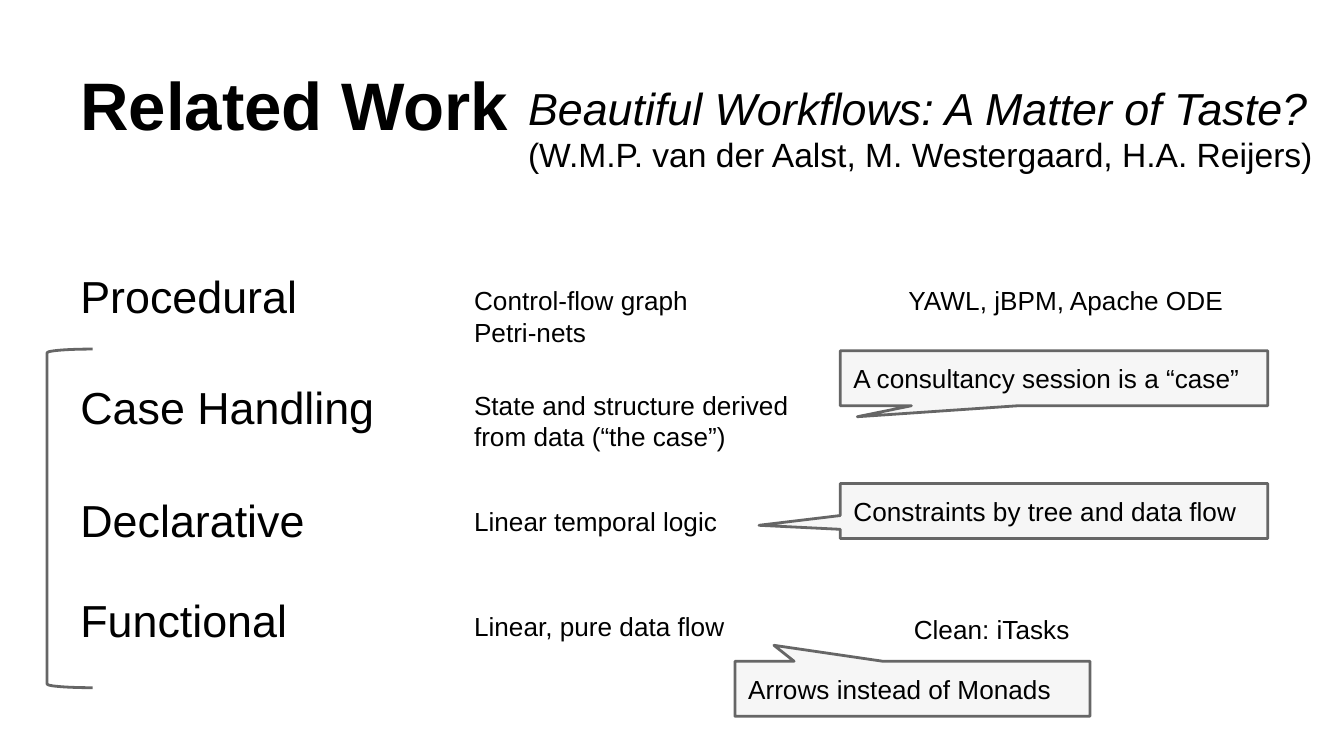
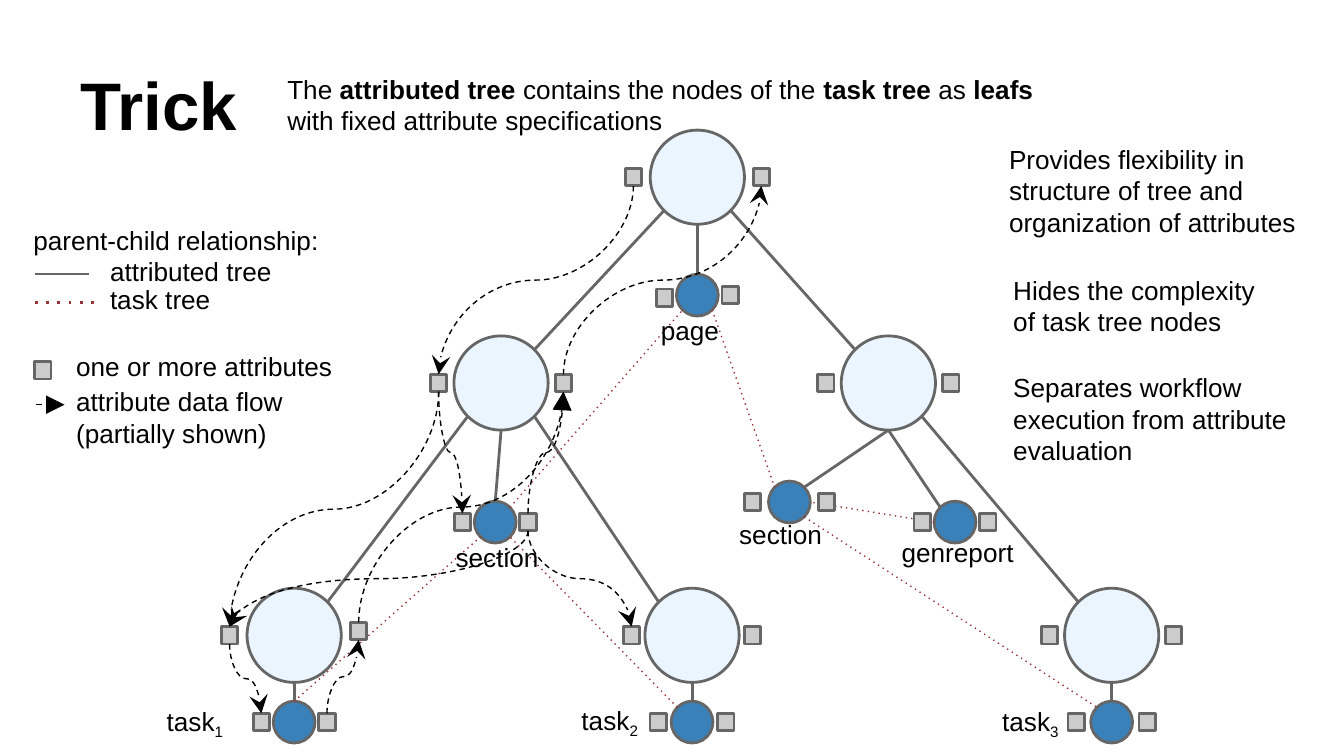
import copy
import math

import pptx
import pptx.dml.color
import pptx.enum.shapes
import pptx.enum.text
import pptx.oxml.ns
import pptx.util
from lxml import etree

Cm = pptx.util.Cm
Pt = pptx.util.Pt
qn = pptx.oxml.ns.qn
KIND = pptx.enum.shapes.MSO_SHAPE
LINK = pptx.enum.shapes.MSO_CONNECTOR
ANCHOR = pptx.enum.text.MSO_ANCHOR

HUES = {"ink": "000000", "edge": "666666", "note": "F6F6F6", "tree": "EAF5FF",
        "task": "3A81BA", "attr": "CCCCCC", "link": "963334"}
BOLD = {"bold": True}
BIG, SMALL = 1.78, 0.79
ATTR_W, ATTR_H = 0.31, 0.33


def hue(name):
    return pptx.dml.color.RGBColor.from_string(HUES[name])


class Deck:
    """Holds the style and the current slide."""

    def __init__(self):
        self.file = pptx.Presentation()
        self.file.slide_width, self.file.slide_height = Cm(25.4), Cm(14.29)
        self.font = {"name": "Arial", "size": Pt(14)}
        self.frame = {"word_wrap": True, "margin_left": Cm(0.25), "margin_right": Cm(0.25),
                      "margin_top": Cm(0.25), "margin_bottom": Cm(0.25)}

    def page(self, title, width):
        self.slide = self.file.slides.add_slide(self.file.slide_layouts[6])
        self.text(title, 1.27, 0.58, width, 2.39, ANCHOR.BOTTOM, size=Pt(36), bold=True)

    def label(self, shape, text, anchor, style):
        """text is a string, or a list of (string, style) runs; a line feed breaks the line."""
        frame = shape.text_frame
        for key, value in {**self.frame, "vertical_anchor": anchor}.items():
            setattr(frame, key, value)
        para = frame.paragraphs[0]
        para.alignment = pptx.enum.text.PP_ALIGN.LEFT
        for words, extra in [(text, {})] if isinstance(text, str) else text:
            for num, part in enumerate(words.split("\n")):
                if num:
                    para.add_line_break()
                    para._p[-1].append(copy.deepcopy(run.font._element))
                if not part:
                    continue
                run = para.add_run()
                run.text = part
                run.font.color.rgb = hue("ink")
                for key, value in {**self.font, **style, **extra}.items():
                    if key == "base":
                        run.font._element.set("baseline", value)
                    else:
                        setattr(run.font, key, value)

    def text(self, text, x, y, w, h, anchor=ANCHOR.TOP, **style):
        box = self.slide.shapes.add_textbox(Cm(x), Cm(y), Cm(w), Cm(h))
        self.label(box, text, anchor, style)

    def shape(self, kind, x, y, w, h, fill=None, adjust=()):
        item = self.slide.shapes.add_shape(kind, Cm(x), Cm(y), Cm(w), Cm(h))
        item.shadow.inherit = False
        if fill:
            item.fill.solid()
            item.fill.fore_color.rgb = hue(fill)
        else:
            item.fill.background()
        item.line.color.rgb, item.line.width = hue("edge"), Pt(1.5)
        for num, value in enumerate(adjust):
            item.adjustments[num] = value
        return item

    def call(self, text, x, y, w, tip):
        item = self.shape(KIND.RECTANGULAR_CALLOUT, x, y, w, 1.04, "note", tip)
        self.label(item, text, ANCHOR.MIDDLE, {})

    def dot(self, x, y, size, fill):
        self.shape(KIND.OVAL, x - size / 2, y - size / 2, size, size, fill)

    def attr(self, x, y):
        self.shape(KIND.RECTANGLE, x - ATTR_W / 2, y - ATTR_H / 2, ATTR_W, ATTR_H, "attr")

    def line(self, start, end, color="edge", width=1.5, dash=None, head=None,
             kind=LINK.STRAIGHT):
        item = self.slide.shapes.add_connector(kind, *map(Cm, (*start, *end)))
        item.line.color.rgb, item.line.width = hue(color), Pt(width)
        props = item._element.spPr
        stroke = props.find(qn("a:ln"))
        if dash:
            etree.SubElement(stroke, qn("a:prstDash")).set("val", dash)
        if head:
            tail = etree.SubElement(stroke, qn("a:tailEnd"))
            for key, value in {"type": head, "w": "lg", "len": "lg"}.items():
                tail.set(key, value)
        etree.SubElement(props, qn("a:effectLst"))
        return item

    def flow(self, start, end, head="stealth"):
        """Curve that leaves and arrives upright: a level curve, turned."""
        (x1, y1), (x2, y2) = start, end
        mid_x, mid_y = (x1 + x2) / 2, (y1 + y2) / 2
        half_w, half_h = abs(y2 - y1) / 2, abs(x2 - x1) / 2
        if x2 > x1 and y2 > y1:
            half_w = -half_w
        item = self.line((mid_x - half_w, mid_y - half_h), (mid_x + half_w, mid_y + half_h),
                         "ink", 0.75, "dash", head, LINK.CURVE)
        turn = 90 if x2 < x1 else 270
        item._element.spPr.find(qn("a:xfrm")).set("rot", str(turn * 60000))


def work(deck):
    deck.page("Related Work", 8.89)
    deck.text([("Beautiful Workflows: A Matter of Taste?\n", {"size": Pt(24), "italic": True}),
               ("(W.M.P. van der Aalst, M. Westergaard, H.A. Reijers)", {"size": Pt(18)})],
              9.73, 1.27, 15.67, 2.41)

    # Styles of workflow
    for name, y, w in [("Procedural", 4.83, 4.88), ("Case Handling", 6.93, 6.2),
                       ("Declarative", 9.07, 7.44), ("Functional", 10.95, 7.44)]:
        deck.text(name, 1.27, y, w, 1.47, size=Pt(24))

    # Basis of each style
    for basis, y, w, h in [
            ("Control-flow graph\nPetri-nets", 5.13, 5.46, 1.68),
            ("State and structure derived from data (“the case”)", 7.11, 6.93, 1.68),
            ("Linear temporal logic", 9.3, 5.46, 1.04),
            ("Linear, pure data flow", 11.28, 6.48, 1.3)]:
        deck.text(basis, 8.71, y, w, h)

    # Systems
    deck.text("YAWL, jBPM, Apache ODE", 16.92, 5.13, 7.04, 1.68)
    deck.text("Clean: iTasks", 17.02, 11.35, 3.73, 1.14)

    # Bracket and callouts
    deck.shape(KIND.LEFT_BRACKET, 0.89, 6.6, 0.86, 6.4, adjust=[0.08])
    deck.call("A consultancy session is a “case”", 15.88, 6.63, 8.08, (-0.46, 0.7))
    deck.call("Arrows instead of Monads", 13.89, 12.5, 6.71, (-0.39, -0.79))
    deck.call("Constraints by tree and data flow", 15.88, 9.14, 8.08, (-0.69, 0.26))


# Nodes: centre, diameter, distance to the attributes on both sides
NODES = {
    "root": (13.18, 3.35, BIG, 1.21), "left": (9.47, 7.24, BIG, 1.18),
    "right": (16.79, 7.24, BIG, 1.18), "sub1": (5.56, 12.01, BIG, 1.22),
    "sub2": (13.08, 12.01, BIG, 1.14), "sub3": (21.01, 12.01, BIG, 1.17),
    "page": (13.18, 5.58, SMALL, 0.62), "sect1": (9.36, 9.87, SMALL, 0.62),
    "sect2": (14.92, 9.49, SMALL, 0.7), "gen": (18.05, 9.87, SMALL, 0.62),
    "task1": (5.56, 13.65, SMALL, 0.62), "task2": (13.08, 13.65, SMALL, 0.64),
    "task3": (21.01, 13.65, SMALL, 0.67),
}
SHIFT = {("page", -1): 0.05, ("sub1", 1): -0.08}

# Links: node and compass side at both ends
TREE = ["sub1 NE left SW", "left NE root SW", "root SE right NW", "left SE sub2 NW",
        "right SE sub3 NW", "root S page N", "left S sect1 N", "right S gen NW",
        "right S sect2 NE", "sub1 S task1 N", "sub2 S task2 N", "sub3 S task3 N"]
TASKS = ["task1 N sect1 SW", "task2 NW sect1 SE", "sect1 NE page SW", "page SE sect2 NW",
         "sect2 SE task3 NW", "gen W sect2 E"]
SIDES = ["E", "SE", "S", "SW", "W", "NW", "N", "NE"]

# Data flow: node and attribute, left (-1) or right (1), at both ends
FLOWS = [("left", -1, "sub1", -1), ("sub1", -1, "task1", -1), ("task1", 1, "sub1", 1),
         ("sub1", 1, "left", 1), ("root", -1, "left", -1), ("left", 1, "root", 1),
         ("sect1", 1, "sub1", -1), ("sect1", 1, "sub2", -1), ("left", -1, "sect1", -1)]


def rim(name, side):
    x, y, size, _ = NODES[name]
    turn = SIDES.index(side) * math.pi / 4
    return x + size / 2 * math.cos(turn), y + size / 2 * math.sin(turn)


def spot(name, side):
    x, y, _, gap = NODES[name]
    return x + side * gap, y + SHIFT.get((name, side), 0)


def ends(name1, side1, name2, side2):
    (x1, y1), (x2, y2) = spot(name1, side1), spot(name2, side2)
    step = math.copysign(ATTR_H / 2, y2 - y1)
    return (x1, y1 + step), (x2, y2 - step)


def trick(deck):
    deck.page("Trick", 22.86)
    deck.text([("The ", {}), ("attributed tree", BOLD), (" contains the nodes of the ", {}),
               ("task tree", BOLD), (" as ", {}), ("leafs", BOLD),
               (" with fixed attribute specifications", {})], 5.18, 1.14, 15.29, 1.47)

    # Both trees
    for link in TREE:
        a, b, c, d = link.split()
        deck.line(rim(a, b), rim(c, d))
    for x, y, size, _ in NODES.values():
        deck.dot(x, y, size, "tree" if size == BIG else "task")
    for link in TASKS:
        a, b, c, d = link.split()
        deck.line(rim(a, b), rim(c, d), "link", 0.75, "dot")

    # Node labels
    for name, x, y, w, h in [("page", 12.24, 5.69, 1.78, 1.68),
                             ("section", 8.36, 9.98, 2.13, 0.97),
                             ("section", 13.72, 9.55, 2.13, 0.97),
                             ("genreport", 16.79, 9.88, 2.97, 0.97)]:
        deck.text(name, x, y, w, h)
    for num, x, y, w in [("1", 2.9, 13.08, 1.78), ("2", 10.74, 13.06, 1.78),
                         ("3", 18.69, 13.08, 1.93)]:
        deck.text([("task", {}), (num, {"base": "-25000"})], x, y, w, 1.12)

    # Attributes and their flow
    for name in NODES:
        for side in (-1, 1):
            deck.attr(*spot(name, side))
    for route in FLOWS:
        deck.flow(*ends(*route))
    deck.flow(*ends("sect1", 1, "left", 1), "triangle")

    # Legend
    deck.line((0.66, 5.18), (1.68, 5.18))
    deck.line((0.66, 5.72), (1.83, 5.72), "link", 1.5, "dot")
    deck.attr(0.81, 7)
    deck.line((0.69, 7.65), (1.22, 7.65), "ink", 0.75, "dash", "triangle")
    for name, x, y, w, h in [
            ("parent-child relationship:", 0.38, 3.99, 10.39, 1.22),
            ("attributed tree", 1.83, 4.57, 6.76, 1.22),
            ("task tree", 1.83, 5.11, 2.67, 1.22),
            ("one or more attributes", 1.19, 6.38, 5.61, 1.22),
            ("attribute data flow\n(partially shown)", 1.19, 7.04, 4.7, 1.68)]:
        deck.text(name, x, y, w, h)

    # Benefits
    for gain, x, y, w, h in [
            ("Provides flexibility in structure of tree and organization of attributes",
             18.82, 2.46, 6.2, 2.24),
            ("Hides the complexity of task tree nodes", 18.9, 4.93, 5.31, 1.68),
            ("Separates workflow execution from attribute evaluation",
             18.9, 6.78, 6.2, 2.24)]:
        deck.text(gain, x, y, w, h)


def main():
    deck = Deck()
    work(deck)
    trick(deck)
    deck.file.save("out.pptx")


if __name__ == "__main__":
    main()
